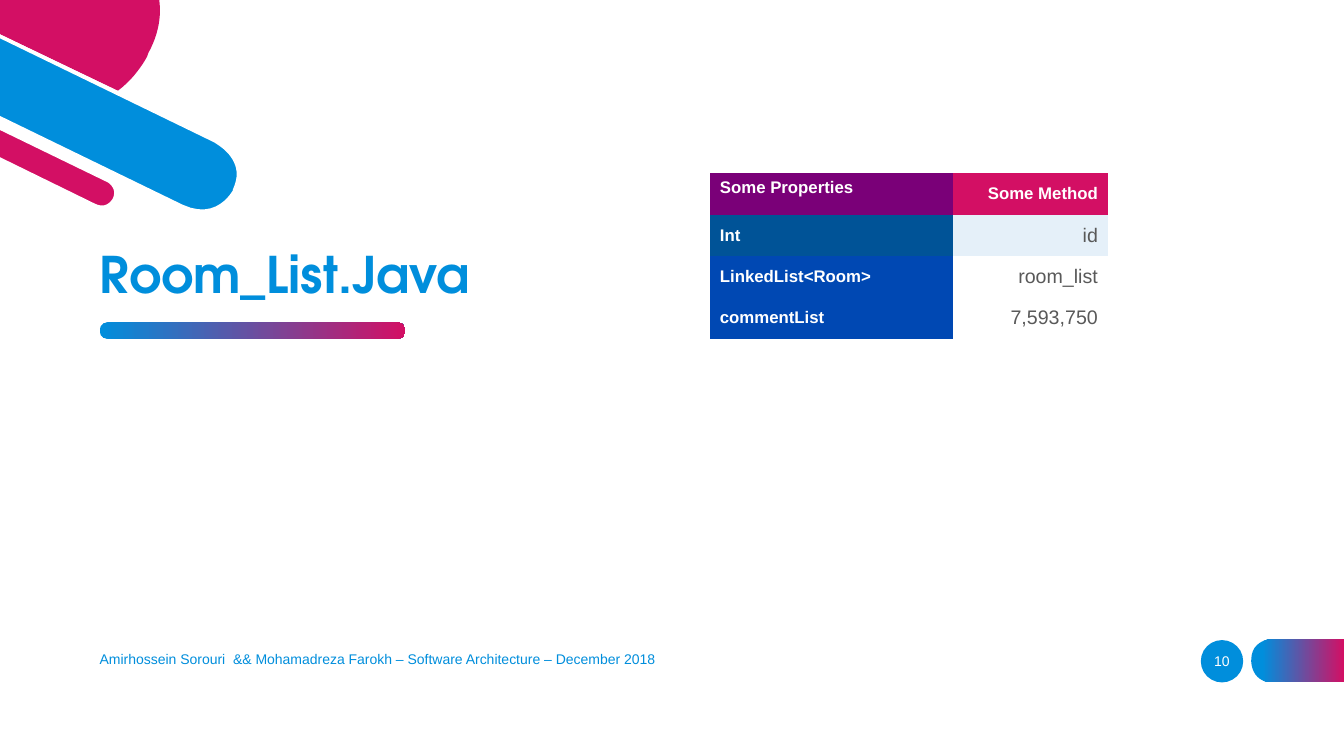
from pptx import Presentation
from pptx.dml.color import RGBColor
from pptx.enum.shapes import MSO_SHAPE
from pptx.enum.text import MSO_ANCHOR, MSO_AUTO_SIZE, PP_ALIGN
from pptx.oxml.ns import qn
from pptx.util import Inches, Pt

BLUE = RGBColor(0x00, 0x8E, 0xDC)
PINK = RGBColor(0xD3, 0x0F, 0x64)
PURPLE = RGBColor(0x7A, 0x00, 0x78)
NAVY = RGBColor(0x00, 0x53, 0x97)
ROYAL = RGBColor(0x00, 0x48, 0xB3)
PALE = RGBColor(0xE5, 0xF0, 0xF9)
GREY = RGBColor(0x59, 0x59, 0x59)
WHITE = RGBColor(0xFF, 0xFF, 0xFF)

# Outlines in inches: a pair is a line, six numbers are a Bezier curve
CORNER_ART = [
    (BLUE, [(0, 0.36), (2.12, 1.39), (2.12, 1.39, 2.49, 1.57, 2.33, 1.89), (2.32, 1.9),
            (2.32, 1.9, 2.16, 2.22, 1.8, 2.04), (0, 1.17)]),
    (PINK, [(0, 0), (1.58, 0), (1.6, 0.15, 1.58, 0.33, 1.47, 0.53), (1.46, 0.56),
            (1.46, 0.56, 1.36, 0.76, 1.17, 0.9), (0, 0.34)]),
    (PINK, [(0, 1.26), (1.06, 1.78), (1.06, 1.78, 1.2, 1.85, 1.14, 1.97), (1.14, 1.98),
            (1.14, 1.98, 1.07, 2.11, 0.93, 2.04), (0, 1.58)]),
    (WHITE, [(0, 1.56), (0.94, 2.02), (1.06, 2.08, 1.11, 1.98, 1.12, 1.97),
             (1.17, 1.86, 1.06, 1.8, 1.05, 1.8), (0, 1.29), (0, 1.24), (1.07, 1.76),
             (1.07, 1.76, 1.15, 1.8, 1.17, 1.87), (1.18, 1.91, 1.18, 1.95, 1.16, 1.99),
             (1.14, 2.03, 1.09, 2.08, 1.01, 2.08), (0.99, 2.08, 0.96, 2.08, 0.93, 2.06),
             (0, 1.61)]),
    (WHITE, [(0, 1.15), (1.81, 2.03), (2.15, 2.19, 2.3, 1.9, 2.31, 1.89), (2.31, 1.88),
             (2.37, 1.75, 2.36, 1.64, 2.27, 1.53), (2.21, 1.46, 2.12, 1.41, 2.12, 1.41),
             (0, 0.38), (0, 0.34), (2.14, 1.37), (2.14, 1.38, 2.32, 1.46, 2.37, 1.63),
             (2.4, 1.71, 2.39, 1.8, 2.35, 1.9), (2.34, 1.91),
             (2.34, 1.91, 2.23, 2.12, 2.01, 2.12), (1.94, 2.12, 1.87, 2.1, 1.79, 2.06),
             (0, 1.19)]),
]
PAGE_TAB = [(0.21, 0.43), (0.92, 0.43), (0.92, 0), (0.21, 0),
            (0.21, 0, 0, 0, 0, 0.21), (0, 0.22), (0, 0.22, 0, 0.43, 0.21, 0.43)]

PROPERTY_ROWS = [
    ("Some Properties", "Some Method", PURPLE, PINK),
    ("Int", "id", NAVY, PALE),
    ("LinkedList<Room>", "room_list", ROYAL, WHITE),
    ("commentList", "7,593,750", ROYAL, WHITE),
]


def plain(shape, color=None):
    shape.shadow.inherit = False
    shape.line.fill.background()
    if color is not None:
        shape.fill.solid()
        shape.fill.fore_color.rgb = color
    return shape


def blue_to_pink(shape, start=0.0):
    shape.fill.gradient()
    shape.fill.gradient_angle = 0
    for stop, color, position in zip(shape.fill.gradient_stops, (BLUE, PINK), (start, 1.0)):
        stop.color.rgb = color
        stop.position = position


def style(paragraph, size, color, bold=False, align=PP_ALIGN.LEFT, font="Arial"):
    paragraph.alignment = align
    paragraph.font.name = font
    paragraph.font.size = Pt(size)
    paragraph.font.bold = bold
    paragraph.font.color.rgb = color


def flatten(outline, steps=12):
    points = [outline[0]]
    for segment in outline[1:]:
        if len(segment) == 2:
            points.append(segment)
            continue
        corners = [points[-1], segment[:2], segment[2:4], segment[4:]]
        for step in range(1, steps + 1):
            t = step / steps
            weights = ((1 - t) ** 3, 3 * t * (1 - t) ** 2, 3 * t * t * (1 - t), t ** 3)
            points.append(tuple(sum(w * c[axis] for w, c in zip(weights, corners))
                                for axis in (0, 1)))
    return points


def add_outline(slide, outline, left=0, top=0):
    points = [(Inches(left + x), Inches(top + y)) for x, y in flatten(outline)]
    builder = slide.shapes.build_freeform(*points[0], scale=1.0)
    builder.add_line_segments(points[1:], close=True)
    return plain(builder.convert_to_shape())


def add_corner_art(slide):
    for color, outline in CORNER_ART:
        plain(add_outline(slide, outline), color)


def add_title(slide, left, top, width, height):
    title = slide.shapes.title
    title.left, title.top = Inches(left), Inches(top)
    title.width, title.height = Inches(width), Inches(height)
    frame = title.text_frame
    frame.text = "Room_List.Java"
    frame.auto_size = MSO_AUTO_SIZE.NONE
    frame.vertical_anchor = MSO_ANCHOR.BOTTOM
    heading = frame.paragraphs[0]
    heading.line_spacing = 0.9
    style(heading, 36, BLUE, bold=True, font="TeX Gyre Adventor")
    # Gradient rule under the title
    rule = slide.shapes.add_shape(MSO_SHAPE.ROUNDED_RECTANGLE, Inches(left + 0.1),
                                  Inches(top + height + 0.13), Inches(3.03), Inches(0.16))
    rule.adjustments[0] = 0.45
    blue_to_pink(plain(rule))


def add_property_table(slide, left, top, widths, row_height):
    count = len(PROPERTY_ROWS)
    frame = slide.shapes.add_table(count, 2, Inches(left), Inches(top),
                                   Inches(sum(widths)), Inches(row_height * count))
    table = frame.table
    table.first_row = table.horz_banding = False
    # "No Style, No Grid" keeps the cells free of borders
    style_id = frame._element.graphic.graphicData.tbl.tblPr.find(qn("a:tableStyleId"))
    style_id.text = "{2D5ABB26-0587-4C30-8999-92F81FD0307C}"
    for column, width in zip(table.columns, widths):
        column.width = Inches(width)
    for r, (name, value, name_fill, value_fill) in enumerate(PROPERTY_ROWS):
        table.rows[r].height = Inches(row_height)
        for c, (text, fill) in enumerate(((name, name_fill), (value, value_fill))):
            cell = table.cell(r, c)
            cell.text = text
            cell.fill.solid()
            cell.fill.fore_color.rgb = fill
            cell.vertical_anchor = MSO_ANCHOR.TOP if r == c == 0 else MSO_ANCHOR.MIDDLE
            label = r == 0 or c == 0
            style(cell.text_frame.paragraphs[0], 12 if label else 14,
                  WHITE if label else GREY, label, PP_ALIGN.RIGHT if c else PP_ALIGN.LEFT)


def add_footer(slide, left, top, width, height):
    credits = slide.shapes.add_textbox(Inches(left), Inches(top), Inches(width), Inches(height))
    frame = credits.text_frame
    frame.word_wrap = True
    frame.vertical_anchor = MSO_ANCHOR.MIDDLE
    frame.text = ("Amirhossein Sorouri  && Mohamadreza Farokh"
                  " – Software Architecture – December 2018")
    style(frame.paragraphs[0], 10, BLUE)


def add_page_number(slide, left, top, size):
    badge = plain(slide.shapes.add_shape(MSO_SHAPE.OVAL, Inches(left), Inches(top),
                                         Inches(size), Inches(size)), BLUE)
    frame = badge.text_frame
    frame.margin_left = frame.margin_right = frame.margin_top = frame.margin_bottom = 0
    frame.vertical_anchor = MSO_ANCHOR.MIDDLE
    frame.text = "10"
    style(frame.paragraphs[0], 10, WHITE, align=PP_ALIGN.CENTER)
    # Gradient tab running to the slide edge
    blue_to_pink(add_outline(slide, PAGE_TAB, left + 0.5, top - 0.01), start=0.12)


def main():
    deck = Presentation()
    deck.slide_width, deck.slide_height = Inches(13.33), Inches(7.5)
    slide = deck.slides.add_slide(deck.slide_layouts[5])
    add_corner_art(slide)
    add_title(slide, 0.89, 2.33, 3.93, 0.74)
    add_property_table(slide, 7.04, 1.72, (2.41, 1.54), 0.41)
    add_footer(slide, 0.89, 6.34, 9.46, 0.4)
    add_page_number(slide, 11.91, 6.35, 0.42)
    deck.save("out.pptx")


if __name__ == "__main__":
    main()
